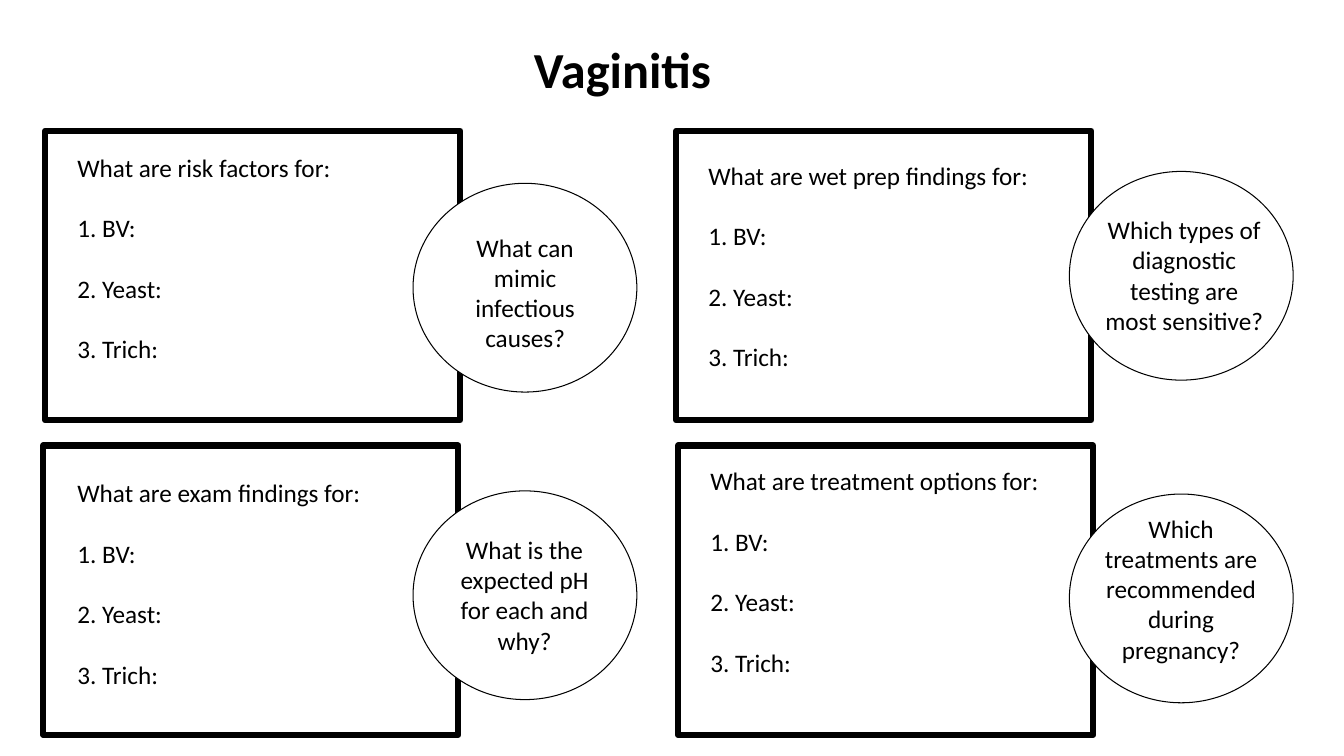
from dataclasses import dataclass

from pptx import Presentation
from pptx.dml.color import RGBColor
from pptx.enum.shapes import MSO_SHAPE
from pptx.enum.text import MSO_AUTO_SIZE, PP_ALIGN
from pptx.slide import Slide
from pptx.util import Cm, Pt

BLACK = "000000"
WHITE = "FFFFFF"
CARD_W, CARD_H = 10.46, 7.29
RING_W, RING_H = 5.64, 5.26
NOTE_W, NOTE_H = 9.35, 5.64
GAP = 21.6
ITEMS = ["1. BV:", "2. Yeast:", "3. Trich:"]


@dataclass
class Card:
    left: float
    top: float
    text_x: float
    text_y: float
    topic: str


@dataclass
class Bubble:
    left: float
    top: float
    text_x: float
    text_y: float
    text_w: float
    text_h: float
    ask: str


CARDS = [
    Card(1.14, 3.3, 1.7, 3.71, "What are risk factors for:"),
    Card(1.09, 11.23, 1.7, 11.91, "What are exam findings for:"),
    Card(17.04, 3.3, 17.6, 3.91, "What are wet prep findings for:"),
    Card(17.09, 11.23, 17.65, 11.61, "What are treatment options for:"),
]

BUBBLES = [
    Bubble(10.41, 4.62, 11.56, 5.72, 3.35, 3.33,
           "What can mimic infectious causes?"),
    Bubble(10.41, 12.37, 11.2, 13.34, 4.04, 3.33,
           "What is the expected pH for each and why?"),
    Bubble(26.95, 4.32, 27.56, 5.28, 4.57, 3.33,
           "Which types of diagnostic testing are most sensitive?"),
    Bubble(26.95, 12.45, 27.48, 12.8, 4.57, 4.11,
           "Which treatments are recommended during pregnancy?"),
]


def color(code: str) -> RGBColor:
    return RGBColor.from_string(code)


def add_form(slide: Slide, kind: MSO_SHAPE, left: float, top: float,
             width: float, height: float, line: float) -> None:
    """Draw a white shape with a black outline of the given point width."""
    form = slide.shapes.add_shape(kind, Cm(left), Cm(top), Cm(width), Cm(height))
    form.shadow.inherit = False
    form.fill.solid()
    form.fill.fore_color.rgb = color(WHITE)
    form.line.color.rgb = color(BLACK)
    form.line.width = Pt(line)


def add_text(slide: Slide, left: float, top: float, width: float, height: float,
             lines: list[str], align: PP_ALIGN, size: float = 18,
             bold: bool = False) -> None:
    box = slide.shapes.add_textbox(Cm(left), Cm(top), Cm(width), Cm(height))
    frame = box.text_frame
    frame.word_wrap = True
    frame.auto_size = MSO_AUTO_SIZE.SHAPE_TO_FIT_TEXT
    for i, line in enumerate(lines):
        para = frame.add_paragraph() if i else frame.paragraphs[0]
        para.alignment = align
        if i:
            para.space_before = Pt(GAP)
        run = para.add_run()
        run.text = line
        run.font.name = "Calibri"
        run.font.size = Pt(size)
        run.font.bold = bold
        run.font.color.rgb = color(BLACK)


def add_card(slide: Slide, card: Card) -> None:
    add_form(slide, MSO_SHAPE.RECTANGLE, card.left, card.top, CARD_W, CARD_H, 4.5)
    add_text(slide, card.text_x, card.text_y, NOTE_W, NOTE_H,
             [card.topic, *ITEMS], PP_ALIGN.LEFT)


def add_bubble(slide: Slide, item: Bubble) -> None:
    add_form(slide, MSO_SHAPE.OVAL, item.left, item.top, RING_W, RING_H, 0.75)
    add_text(slide, item.text_x, item.text_y, item.text_w, item.text_h,
             [item.ask], PP_ALIGN.CENTER)


def main() -> None:
    deck = Presentation()
    deck.slide_width, deck.slide_height = Cm(33.87), Cm(19.05)
    slide = deck.slides.add_slide(deck.slide_layouts[6])
    add_text(slide, 8.69, 0.84, 14, 1.8, ["Vaginitis"], PP_ALIGN.CENTER, 36, True)
    for card in CARDS:
        add_card(slide, card)
    for item in BUBBLES:
        add_bubble(slide, item)
    deck.save("out.pptx")


if __name__ == "__main__":
    main()
